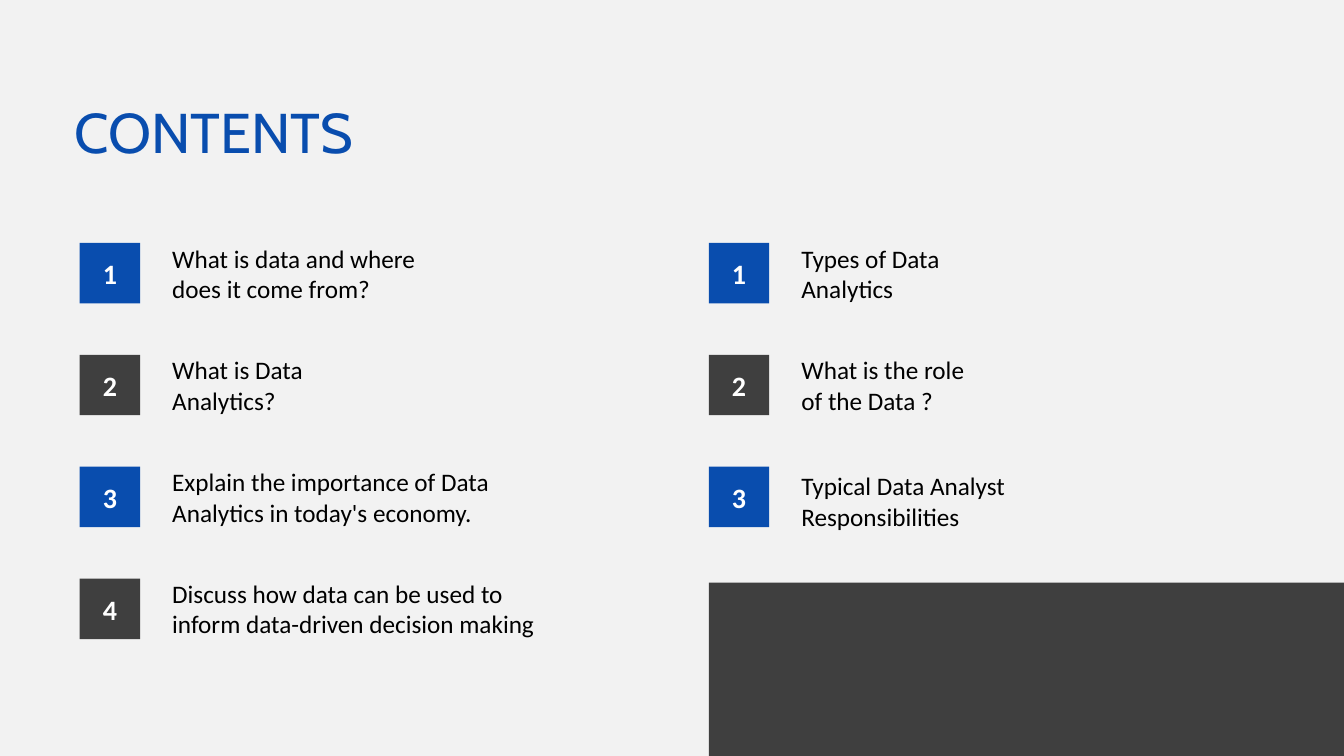
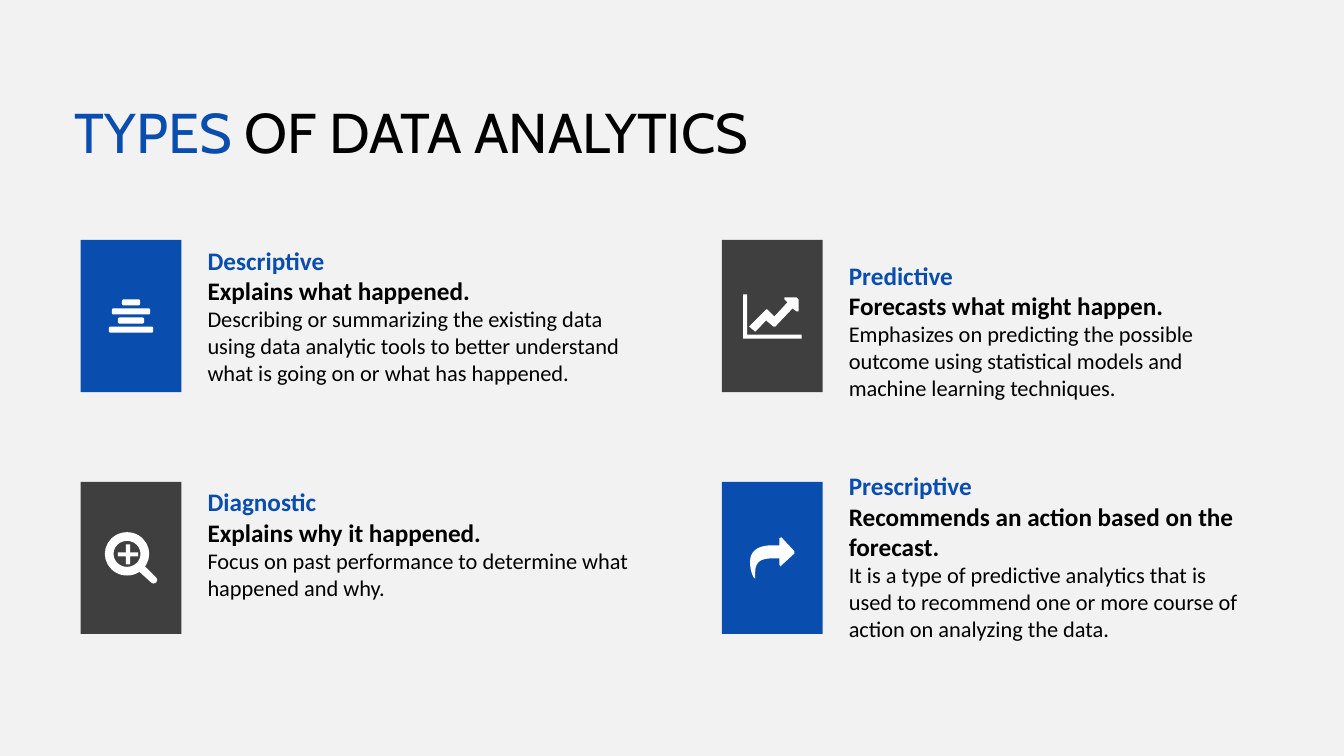
from pptx import Presentation
from pptx.dml.color import RGBColor
from pptx.enum.shapes import MSO_SHAPE
from pptx.enum.text import MSO_ANCHOR, MSO_AUTO_SIZE, PP_ALIGN
from pptx.util import Inches, Pt

BLUE = RGBColor(0x09, 0x4D, 0xAE)
CHARCOAL = RGBColor(0x3F, 0x3F, 0x3F)
PALE = RGBColor(0xF2, 0xF2, 0xF2)
WHITE = RGBColor(0xFF, 0xFF, 0xFF)
BLACK = RGBColor(0, 0, 0)
HEADING_FONT = "Cabin"
BODY_FONT = "Calibri"
TITLE_ONLY = 5


def curve(start, *segments, steps=8):
    """Return points along a chain of cubic Bézier segments."""
    points = [start]
    for a, b, end in segments:
        for step in range(1, steps + 1):
            t = step / steps
            u = 1 - t
            weights = (u ** 3, 3 * u * u * t, 3 * u * t * t, t ** 3)
            points.append(tuple(
                sum(w * p[axis] for w, p in zip(weights, (start, a, b, end)))
                for axis in (0, 1)))
        start = end
    return points


class Deck:
    """Hold the shared style and draw on the current slide."""

    def __init__(self):
        """Start a widescreen deck with a pale background."""
        self.presentation = Presentation()
        self.presentation.slide_width = Inches(13.33)
        self.presentation.slide_height = Inches(7.5)
        background = self.presentation.slide_master.background.fill
        background.solid()
        background.fore_color.rgb = PALE
        self.slide = None

    def new_slide(self, title_parts, width):
        """Add a slide whose title is made of coloured parts."""
        layout = self.presentation.slide_layouts[TITLE_ONLY]
        self.slide = self.presentation.slides.add_slide(layout)
        title = self.slide.shapes.title
        title.left, title.top = Inches(0.64), Inches(0.92)
        title.width, title.height = Inches(width), Inches(0.77)
        frame = title.text_frame
        frame.word_wrap = True
        frame.auto_size = MSO_AUTO_SIZE.NONE
        frame.vertical_anchor = MSO_ANCHOR.TOP
        paragraph = frame.paragraphs[0]
        paragraph.alignment = PP_ALIGN.LEFT
        self.style(paragraph, 40, name=HEADING_FONT)
        for words, color in title_parts:
            run = paragraph.add_run()
            run.text = words
            run.font.color.rgb = color

    def style(self, paragraph, size, color=BLACK, bold=False, name=BODY_FONT):
        """Set the font of a paragraph."""
        font = paragraph.font
        font.name, font.size, font.bold = name, Pt(size), bold
        font.color.rgb = color

    def paint(self, shape, color):
        """Give a shape a flat fill without line or shadow."""
        shape.shadow.inherit = False
        shape.fill.solid()
        shape.fill.fore_color.rgb = color
        shape.line.fill.background()
        return shape

    def block(self, left, top, width, height, color,
              preset=MSO_SHAPE.RECTANGLE, adjustment=None):
        """Add a flat preset shape."""
        shape = self.slide.shapes.add_shape(
            preset, Inches(left), Inches(top), Inches(width), Inches(height))
        if adjustment is not None:
            shape.adjustments[0] = adjustment
        return self.paint(shape, color)

    def outline(self, points):
        """Add a white closed outline through the points."""
        corners = [(Inches(x), Inches(y)) for x, y in points]
        builder = self.slide.shapes.build_freeform(*corners[0])
        builder.add_line_segments(corners[1:], close=True)
        return self.paint(builder.convert_to_shape(), WHITE)

    def text(self, left, top, width, height, lines):
        """Add a text box with one styled paragraph per line."""
        box = self.slide.shapes.add_textbox(
            Inches(left), Inches(top), Inches(width), Inches(height))
        frame = box.text_frame
        frame.word_wrap = True
        frame.auto_size = MSO_AUTO_SIZE.SHAPE_TO_FIT_TEXT
        for index, (words, size, color, bold) in enumerate(lines):
            paragraph = frame.add_paragraph() if index else frame.paragraphs[0]
            paragraph.text = words
            self.style(paragraph, size, color, bold)

    def badge(self, left, top, number, color):
        """Add a numbered square."""
        square = self.block(left, top, 0.6, 0.6, color)
        square.text_frame.vertical_anchor = MSO_ANCHOR.MIDDLE
        paragraph = square.text_frame.paragraphs[0]
        paragraph.text = str(number)
        paragraph.alignment = PP_ALIGN.CENTER
        self.style(paragraph, 20, WHITE, True)

    def agenda(self, left, topics):
        """Add a column of numbered topics with alternating badges."""
        for index, (topic, width, drop) in enumerate(topics):
            top = 2.41 + 1.11 * index
            self.badge(left, top, index + 1, CHARCOAL if index % 2 else BLUE)
            self.text(left + 0.82, top - 0.05 + drop, width, 0.71,
                      [(topic, 18, BLACK, False)])

    def card(self, left, top, color, text_box, name, question, detail):
        """Add an icon panel with its explanation."""
        self.block(left, top, 1, 1.51, color)
        text_top, width, height = text_box
        self.text(left + 1.16, text_top, width, height,
                  [(name, 18, BLUE, True), (question, 18, BLACK, True),
                   (detail, 16, BLACK, False)])

    def stack_icon(self):
        """Draw four stacked bars."""
        for row, width in enumerate((0.18, 0.38, 0.26, 0.44)):
            self.block(1.3 - width / 2, 2.97 + 0.09 * row, width, 0.06,
                       WHITE, MSO_SHAPE.ROUNDED_RECTANGLE, 0.25)

    def magnifier_icon(self):
        """Draw a magnifier holding a plus sign."""
        self.block(1.04, 5.28, 0.44, 0.43, WHITE, MSO_SHAPE.DONUT, 0.2)
        self.block(1.17, 5.4, 0.2, 0.2, WHITE, MSO_SHAPE.CROSS, 0.4)
        self.outline([(1.38, 5.67), (1.43, 5.61), (1.55, 5.73), (1.56, 5.75),
                      (1.55, 5.78), (1.52, 5.79), (1.5, 5.78)])

    def trend_icon(self):
        """Draw chart axes with a rising arrow."""
        self.outline([(7.37, 2.92), (7.41, 2.92), (7.41, 3.32), (7.95, 3.32),
                      (7.95, 3.36), (7.37, 3.36)])
        self.outline([(7.43, 3.24), (7.6, 3.07), (7.61, 3.07), (7.68, 3.14),
                      (7.81, 3), (7.78, 2.97), (7.78, 2.95), (7.9, 2.95),
                      (7.92, 2.97), (7.92, 3.09), (7.9, 3.09), (7.86, 3.06),
                      (7.69, 3.24), (7.67, 3.24), (7.6, 3.18), (7.49, 3.29)])

    def forward_icon(self):
        """Draw a curved arrow pointing right."""
        tail = curve((7.67, 5.54),
                     ((7.56, 5.54), (7.49, 5.56), (7.49, 5.68)),
                     ((7.49, 5.7), (7.49, 5.72), (7.49, 5.74)),
                     ((7.47, 5.74), (7.44, 5.65), (7.44, 5.59)),
                     ((7.44, 5.57), (7.44, 5.54), (7.45, 5.51)),
                     ((7.49, 5.42), (7.59, 5.41), (7.67, 5.41)))
        self.outline(tail + [(7.73, 5.41), (7.73, 5.34), (7.75, 5.33),
                             (7.88, 5.47), (7.88, 5.49), (7.75, 5.61),
                             (7.74, 5.62), (7.73, 5.6), (7.73, 5.54)])


def main():
    """Build the two slides."""
    deck = Deck()
    deck.new_slide([("CONTENTS", BLUE)], 5.34)
    deck.agenda(0.79, [
        ("What is data and where does it come from?", 2.84, 0),
        ("What is Data Analytics?", 1.88, 0),
        ("Explain the importance of Data Analytics in today's economy.", 3.5, 0),
        ("Discuss how data can be used to inform data-driven decision making",
         4, 0),
    ])
    deck.agenda(7.03, [
        ("Types of Data Analytics", 2.18, 0),
        ("What is the role of the Data ?", 1.88, 0),
        ("Typical Data Analyst Responsibilities", 3.5, 0.04),
    ])
    deck.block(7.03, 5.78, 6.3, 1.72, CHARCOAL)

    deck.new_slide([("TYPES ", BLUE), ("OF DATA ANALYTICS", BLACK)], 10.11)
    deck.card(0.8, 2.38, BLUE, (2.38, 4.42, 1.51), "Descriptive",
              "Explains what happened.",
              "Describing or summarizing the existing data using data analytic "
              "tools to better understand what is going on or what has happened.")
    deck.card(7.16, 2.38, CHARCOAL, (2.53, 4.21, 1.78), "Predictive",
              "Forecasts what might happen.",
              "Emphasizes on predicting the possible outcome using statistical "
              "models and machine learning techniques.")
    deck.card(0.8, 4.78, CHARCOAL, (4.78, 4.42, 1.25), "Diagnostic",
              "Explains why it happened.",
              "Focus on past performance to determine what happened and why.")
    deck.card(7.16, 4.78, BLUE, (4.62, 4.21, 1.82), "Prescriptive",
              "Recommends an action based on the forecast.",
              "It is a type of predictive analytics that is used to recommend "
              "one or more course of action on analyzing the data.")
    deck.stack_icon()
    deck.magnifier_icon()
    deck.trend_icon()
    deck.forward_icon()
    deck.presentation.save("out.pptx")


if __name__ == "__main__":
    main()
